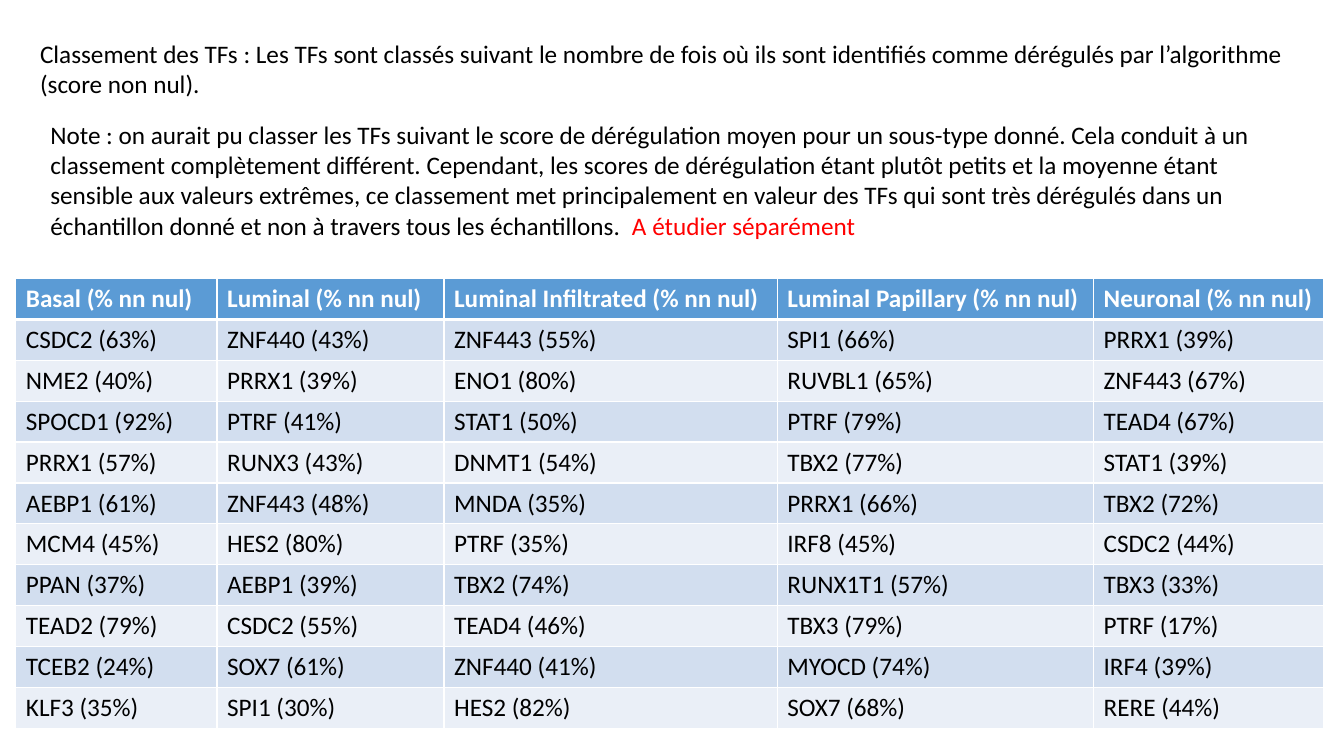
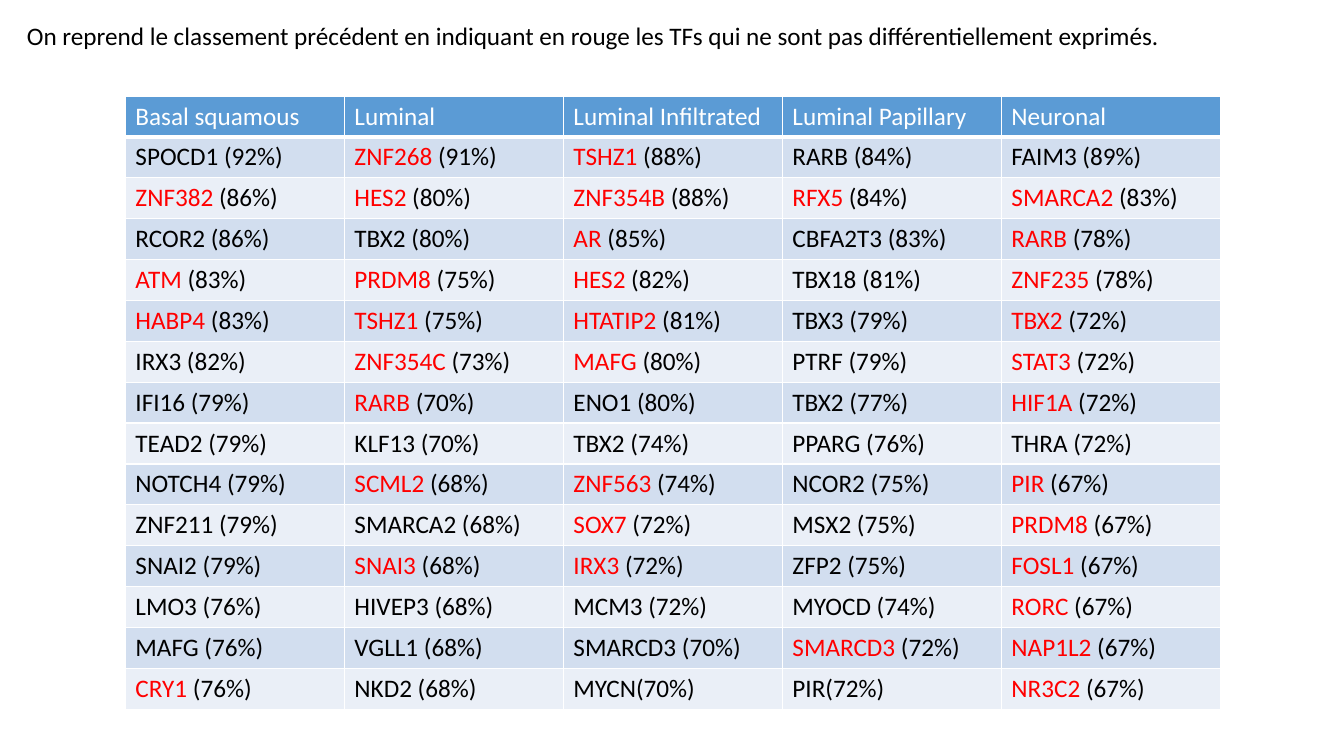
from dataclasses import dataclass
from lxml.etree import SubElement
from pptx import Presentation
from pptx.dml.color import RGBColor
from pptx.enum.text import MSO_AUTO_SIZE
from pptx.oxml.ns import qn
from pptx.util import Cm, Pt


@dataclass(frozen=True)
class Theme:
    font: str = "Calibri"
    size: int = 18
    ink: str = "000000"
    red: str = "FF0000"
    white: str = "FFFFFF"
    head: str = "5B9BD5"
    bands: tuple = ("EAEFF7", "D2DEEF")
    thin: int = 1
    thick: int = 3
    row: float = 1.03


THEME = Theme()
MARK = "*"

RANKS = (
    "CSDC2 (63%), ZNF440 (43%), ZNF443 (55%), SPI1 (66%), PRRX1 (39%)",
    "NME2 (40%), PRRX1 (39%), ENO1 (80%), RUVBL1 (65%), ZNF443 (67%)",
    "SPOCD1 (92%), PTRF (41%), STAT1 (50%), PTRF (79%), TEAD4 (67%)",
    "PRRX1 (57%), RUNX3 (43%), DNMT1 (54%), TBX2 (77%), STAT1 (39%)",
    "AEBP1 (61%), ZNF443 (48%), MNDA (35%), PRRX1 (66%), TBX2 (72%)",
    "MCM4 (45%), HES2 (80%), PTRF (35%), IRF8 (45%), CSDC2 (44%)",
    "PPAN (37%), AEBP1 (39%), TBX2 (74%), RUNX1T1 (57%), TBX3 (33%)",
    "TEAD2 (79%), CSDC2 (55%), TEAD4 (46%), TBX3 (79%), PTRF (17%)",
    "TCEB2 (24%), SOX7 (61%), ZNF440 (41%), MYOCD (74%), IRF4 (39%)",
    "KLF3 (35%), SPI1 (30%), HES2 (82%), SOX7 (68%), RERE (44%)",
)

MARKED = (
    "SPOCD1 (92%), *ZNF268 (91%), *TSHZ1 (88%), RARB (84%), FAIM3 (89%)",
    "*ZNF382 (86%), *HES2 (80%), *ZNF354B (88%), *RFX5 (84%), *SMARCA2 (83%)",
    "RCOR2 (86%), TBX2 (80%), *AR (85%), CBFA2T3 (83%), *RARB (78%)",
    "*ATM (83%), *PRDM8 (75%), *HES2 (82%), TBX18 (81%), *ZNF235 (78%)",
    "*HABP4 (83%), *TSHZ1 (75%), *HTATIP2 (81%), TBX3 (79%), *TBX2 (72%)",
    "IRX3 (82%), *ZNF354C (73%), *MAFG (80%), PTRF (79%), *STAT3 (72%)",
    "IFI16 (79%), *RARB (70%), ENO1 (80%), TBX2 (77%), *HIF1A (72%)",
    "TEAD2 (79%), KLF13 (70%), TBX2 (74%), PPARG (76%), THRA (72%)",
    "NOTCH4 (79%), *SCML2 (68%), *ZNF563 (74%), NCOR2 (75%), *PIR (67%)",
    "ZNF211 (79%), SMARCA2 (68%), *SOX7 (72%), MSX2 (75%), *PRDM8 (67%)",
    "SNAI2 (79%), *SNAI3 (68%), *IRX3 (72%), ZFP2 (75%), *FOSL1 (67%)",
    "LMO3 (76%), HIVEP3 (68%), MCM3 (72%), MYOCD (74%), *RORC (67%)",
    "MAFG (76%), VGLL1 (68%), SMARCD3 (70%), *SMARCD3 (72%), *NAP1L2 (67%)",
    "*CRY1 (76%), NKD2 (68%), MYCN(70%), PIR(72%), *NR3C2 (67%)",
)


def style(para, tint, bold=False):
    font = para.font
    font.name, font.size, font.bold = THEME.font, Pt(THEME.size), bold
    font.color.rgb = RGBColor.from_string(tint)


def write(para, text, tint=None):
    run = para.add_run()
    run.text = text
    if tint:
        run.font.color.rgb = RGBColor.from_string(tint)


def add_note(slide, box, text, alert=""):
    shape = slide.shapes.add_textbox(*map(Cm, box))
    frame = shape.text_frame
    frame.word_wrap = True
    frame.auto_size = MSO_AUTO_SIZE.SHAPE_TO_FIT_TEXT
    para = frame.paragraphs[0]
    style(para, THEME.ink)
    write(para, text)
    if alert:
        write(para, " " + alert, THEME.red)


def add_edge(cell, side, width):
    line = SubElement(cell._tc.get_or_add_tcPr(), qn(f"a:ln{side}"), w=str(Pt(width)))
    fill = SubElement(line, qn("a:solidFill"))
    SubElement(fill, qn("a:srgbClr"), val=THEME.white)


def fill_cell(cell, text, row, bold):
    top = THEME.thick if row == 1 else THEME.thin
    base = THEME.thick if row == 0 else THEME.thin
    for side, width in zip("LRTB", (THEME.thin, THEME.thin, top, base)):
        add_edge(cell, side, width)
    cell.fill.solid()
    back = THEME.bands[row % 2] if row else THEME.head
    cell.fill.fore_color.rgb = RGBColor.from_string(back)
    para = cell.text_frame.paragraphs[0]
    style(para, THEME.ink if row else THEME.white, bold and row == 0)
    if text.startswith(MARK):
        name, share = text[len(MARK):].split(" ")
        write(para, name, THEME.red)
        write(para, " " + share)
    else:
        write(para, text)


def add_ranks(slide, left, top, widths, heads, body, bold):
    rows = [heads] + [line.split(", ") for line in body]
    size = map(Cm, (left, top, sum(widths), THEME.row * len(rows)))
    table = slide.shapes.add_table(len(rows), len(heads), *size).table
    for col, width in zip(table.columns, widths):
        col.width = Cm(width)
    for r, texts in enumerate(rows):
        table.rows[r].height = Cm(THEME.row)
        for c, text in enumerate(texts):
            fill_cell(table.cell(r, c), text, r, bold)


def rank_slide(slide):
    add_note(slide, (0.76, 0.84, 32.03, 1.8),
             "Classement des TFs : Les TFs sont classés suivant le nombre de fois où ils sont "
             "identifiés comme dérégulés par l’algorithme (score non nul). ")
    add_note(slide, (1.02, 2.88, 30.84, 3.33),
             "Note : on aurait pu classer les TFs suivant le score de dérégulation moyen pour un "
             "sous-type donné. Cela conduit à un classement complètement différent. Cependant, les "
             "scores de dérégulation étant plutôt petits et la moyenne étant sensible aux valeurs "
             "extrêmes, ce classement met principalement en valeur des TFs qui sont très dérégulés "
             "dans un échantillon donné et non à travers tous les échantillons. ",
             "A étudier séparément")
    kinds = ("Basal", "Luminal", "Luminal Infiltrated", "Luminal Papillary", "Neuronal")
    heads = [f"{kind} (% nn nul)" for kind in kinds]
    add_ranks(slide, 0.4, 7.02, (5.07, 5.72, 8.4, 7.97, 5.79), heads, RANKS, True)


def marked_slide(slide):
    heads = ["Basal squamous", "Luminal ", "Luminal Infiltrated", "Luminal Papillary", "Neuronal"]
    add_ranks(slide, 3.16, 2.42, [5.52] * len(heads), heads, MARKED, False)
    add_note(slide, (0.43, 0.4, 29.57, 1.03),
             "On reprend le classement précédent en indiquant en rouge les TFs qui ne sont pas "
             "différentiellement exprimés.")


deck = Presentation()
deck.slide_width, deck.slide_height = Cm(33.87), Cm(19.05)
blank = deck.slide_layouts[6]
for build in (rank_slide, marked_slide):
    build(deck.slides.add_slide(blank))
deck.save("out.pptx")
